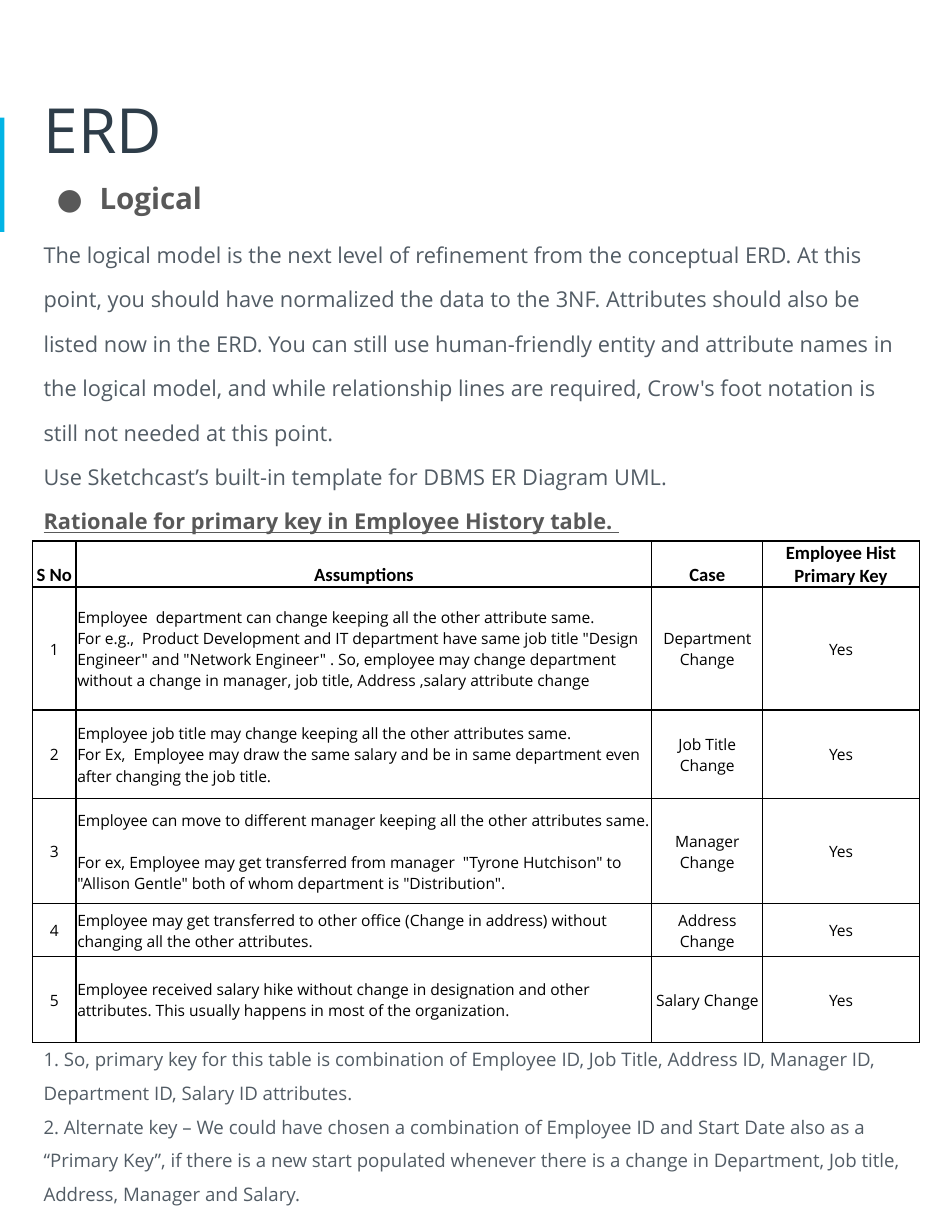
from lxml import etree
from pptx import Presentation, util as u
from pptx.dml.color import RGBColor
from pptx.enum import shapes, text
from pptx.oxml import ns

WIDE, HIGH = 8.5, 11
LEFT, SPAN = 0.29, 7.92
NAVY = RGBColor(0x2E, 0x3D, 0x49)
CYAN = RGBColor(0x02, 0xB4, 0xE5)
GRAY = RGBColor(0x59, 0x59, 0x59)
SLATE = RGBColor(0x52, 0x5C, 0x65)
BLACK = RGBColor(0, 0, 0)
WHITE = RGBColor(255, 255, 255)
SANS = "Open Sans"
TOP, MID = text.MSO_ANCHOR.TOP, text.MSO_ANCHOR.MIDDLE

COLS = [0.39, 5.14, 0.99, 1.4]
ROWS = [0.4, 1.1, 0.79, 0.94, 0.47, 0.77]
HEADS = ["S No", "Assumptions", "Case", "Employee Hist Primary Key"]
# Each case: assumption lines, gap before the second line, name
CASES = [
    (["Employee  department can change keeping all the other attribute same.",
      "For e.g.,  Product Development and IT department have same job title "
      "\"Design Engineer\" and \"Network Engineer\" . So, employee may change "
      "department without a change in manager, job title, Address ,salary "
      "attribute change"], 0, "Department Change"),
    (["Employee job title may change keeping all the other attributes same.",
      "For Ex,  Employee may draw the same salary and be in same department "
      "even after changing the job title."], 0, "Job Title Change"),
    (["Employee can move to different manager keeping all the other "
      "attributes same.",
      "For ex, Employee may get transferred from manager  \"Tyrone "
      "Hutchison\" to \"Allison Gentle\" both of whom department is "
      "\"Distribution\"."], 13.6, "Manager Change"),
    (["Employee may get transferred to other office (Change in address) "
      "without changing all the other attributes."], 0, "Address Change"),
    (["Employee received salary hike without change in designation and other "
      "attributes. This usually happens in most of the organization."],
     0, "Salary Change"),
]

LEAD = dict(size=19, color=GRAY, bold=True, line_spacing=1.15)
PROSE = dict(size=14, color=SLATE, line_spacing=1.7)
NOTE = dict(size=12, color=SLATE, line_spacing=1.5)
BODY = [
    ("Logical", LEAD),
    ("The logical model is the next level of refinement from the conceptual "
     "ERD. At this point, you should have normalized the data to the 3NF. "
     "Attributes should also be listed now in the ERD. You can still use "
     "human-friendly entity and attribute names in the logical model, and "
     "while relationship lines are required, Crow's foot notation is still "
     "not needed at this point.", PROSE | dict(space_before=5)),
    ("Use Sketchcast’s built-in template for DBMS ER Diagram UML.", PROSE),
    ("Rationale for primary key in Employee History table. ",
     PROSE | dict(color=GRAY, bold=True, underline=True)),
]
NOTES = [
    ("1. So, primary key for this table is combination of Employee ID, Job "
     "Title, Address ID, Manager ID, Department ID, Salary ID attributes.",
     NOTE),
    ("2. Alternate key – We could have chosen a combination of Employee ID "
     "and Start Date also as a “Primary Key”, if there is a new start "
     "populated whenever there is a change in Department, Job title, Address, "
     "Manager and Salary.", NOTE),
]


def write(frame, paras):
    """Fill a frame with (words, format) pairs, one per paragraph."""
    for i, (words, form) in enumerate(paras):
        para = frame.add_paragraph() if i else frame.paragraphs[0]
        run = para.add_run()
        run.text = words
        run.font.name = SANS
        for key, val in form.items():
            if key == "color":
                run.font.color.rgb = val
            elif key in ("size", "space_before"):
                setattr(run.font if key == "size" else para, key, u.Pt(val))
            elif key in ("alignment", "line_spacing"):
                setattr(para, key, val)
            else:
                setattr(run.font, key, val)


def add_text(slide, top, high, paras, anchor):
    box = slide.shapes.add_textbox(*map(u.Inches, (LEFT, top, SPAN, high)))
    frame = box.text_frame
    form = dict.fromkeys(("margin_left", "margin_right", "margin_top",
                          "margin_bottom"), u.Inches(0.1))
    form |= dict(word_wrap=True, vertical_anchor=anchor)
    for key, val in form.items():
        setattr(frame, key, val)
    write(frame, paras)
    return frame


def add_mark(para):
    """Give a paragraph a hanging round bullet."""
    props = para._p.get_or_add_pPr()
    props.set("marL", str(u.Inches(0.5)))
    props.set("indent", str(u.Inches(-0.38)))
    tint = etree.SubElement(props, ns.qn("a:buClr"))
    etree.SubElement(tint, ns.qn("a:srgbClr"), val=str(GRAY))
    etree.SubElement(props, ns.qn("a:buFont"), typeface=SANS)
    etree.SubElement(props, ns.qn("a:buChar"), char="●")


def add_bar(slide):
    bar = slide.shapes.add_shape(shapes.MSO_SHAPE.RECTANGLE, 0,
                                 u.Inches(1.05), u.Inches(0.04),
                                 u.Inches(1.02))
    bar.shadow.inherit = False
    bar.fill.solid()
    bar.fill.fore_color.rgb = CYAN
    bar.line.fill.background()


def add_edges(cell):
    props = cell._tc.get_or_add_tcPr()
    for i, side in enumerate(("lnL", "lnR", "lnT", "lnB")):
        line = etree.Element(ns.qn("a:" + side), w=str(u.Pt(1)))
        fill = etree.SubElement(line, ns.qn("a:solidFill"))
        etree.SubElement(fill, ns.qn("a:srgbClr"), val=str(BLACK))
        props.insert(i, line)


def fill_cell(cell, paras, anchor):
    cell.fill.solid()
    cell.fill.fore_color.rgb = WHITE
    form = dict.fromkeys(("margin_left", "margin_right", "margin_top"),
                         u.Inches(0.01))
    form |= dict(margin_bottom=0, vertical_anchor=anchor)
    for key, val in form.items():
        setattr(cell, key, val)
    write(cell.text_frame, paras)
    add_edges(cell)


def add_grid(slide):
    size = map(u.Inches, (LEFT, 4.83, SPAN, sum(ROWS)))
    grid = slide.shapes.add_table(len(ROWS), len(COLS), *size).table
    for col, wide in zip(grid.columns, COLS):
        col.width = u.Inches(wide)
    for row, high in zip(grid.rows, ROWS):
        row.height = u.Inches(high)

    plain = dict(size=10, color=BLACK)
    mid = plain | dict(alignment=text.PP_ALIGN.CENTER)
    head = mid | dict(size=12, bold=True, name="Calibri")
    for c, words in enumerate(HEADS):
        fill_cell(grid.cell(0, c), [(words, head)], text.MSO_ANCHOR.BOTTOM)
    for r, (lines, gap, name) in enumerate(CASES, 1):
        claim = [(line, plain | dict(space_before=gap if i else 0))
                 for i, line in enumerate(lines)]
        cells = [[(str(r), mid)], claim, [(name, mid)], [("Yes", mid)]]
        for c, paras in enumerate(cells):
            fill_cell(grid.cell(r, c), paras, MID)


def main():
    deck = Presentation()
    deck.slide_width, deck.slide_height = u.Inches(WIDE), u.Inches(HIGH)
    slide = deck.slides.add_slide(deck.slide_layouts[6])
    add_bar(slide)
    add_text(slide, 0.54, 1.22, [("ERD", dict(size=40, color=NAVY))], MID)
    body = add_text(slide, 1.46, 3.37, BODY, TOP)
    add_mark(body.paragraphs[0])
    add_text(slide, 9.16, 1.74, NOTES, TOP)
    add_grid(slide)
    deck.save("out.pptx")


if __name__ == "__main__":
    main()
